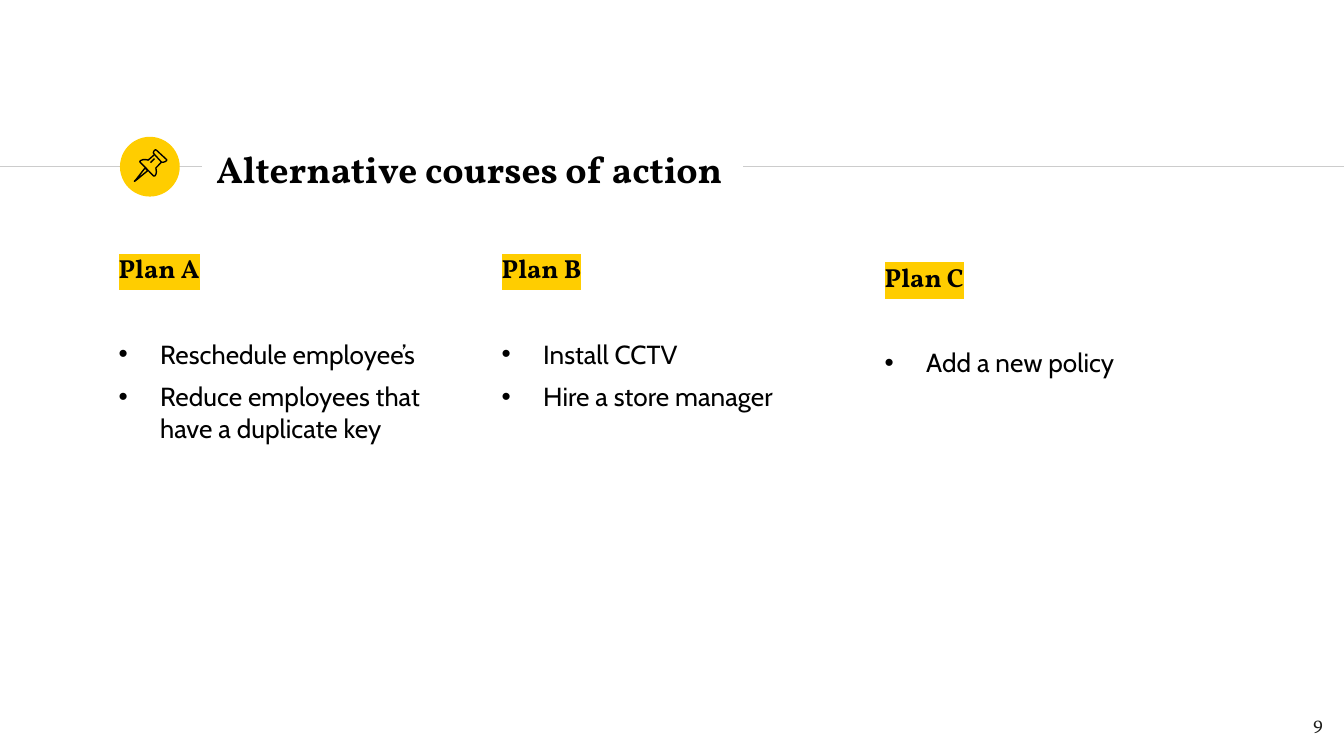
from lxml.etree import SubElement
from pptx import Presentation
from pptx.dml.color import RGBColor
from pptx.enum.shapes import MSO_CONNECTOR, MSO_SHAPE
from pptx.enum.text import MSO_ANCHOR, MSO_AUTO_SIZE, PP_ALIGN
from pptx.oxml.ns import qn
from pptx.util import Inches, Pt

BLACK = RGBColor(0x00, 0x00, 0x00)
INK = RGBColor(0x1D, 0x1D, 0x1B)
GREY = RGBColor(0xCC, 0xCC, 0xCC)
GOLD = RGBColor(0xFF, 0xCD, 0x00)

deck = Presentation()
deck.slide_width, deck.slide_height = Pt(720), Pt(405)
COL, ROW = deck.slide_width / 100, deck.slide_height / 100
slide = deck.slides.add_slide(deck.slide_layouts[4])
shapes = slide.shapes
title, *bodies = slide.placeholders
spare = bodies.pop()
spare.element.getparent().remove(spare.element)

HEAD = {"name": "Vollkorn", "size": Pt(14), "bold": True}
ITEM = {"name": "Cabin", "size": Pt(14), "bold": False}
FRAME = {"word_wrap": True, "auto_size": MSO_AUTO_SIZE.NONE,
         "margin_left": Inches(0.1), "margin_right": Inches(0.1),
         "margin_top": Inches(0.1), "margin_bottom": Inches(0.1)}


def place(shape, left, top, width, height, anchor):
    """Set a text shape on the 100 by 100 grid and return its frame."""
    shape.left, shape.top = int(left * COL), int(top * ROW)
    shape.width, shape.height = int(width * COL), int(height * ROW)
    for key, value in {**FRAME, "vertical_anchor": anchor}.items():
        setattr(shape.text_frame, key, value)
    return shape.text_frame


def write(para, text, style, color=BLACK, align=PP_ALIGN.LEFT):
    """Add one run of styled text to a paragraph."""
    para.alignment = align
    run = para.add_run()
    run.text = text
    for key, value in style.items():
        setattr(run.font, key, value)
    run.font.color.rgb = color
    return run


# Rule across the slide, broken by the title
for start, end in [(0, 15), (55.3, 100)]:
    line = shapes.add_connector(MSO_CONNECTOR.STRAIGHT, int(start * COL),
                                int(22 * ROW), int(end * COL), int(22 * ROW))
    line.line.color.rgb, line.line.width = GREY, Pt(0.75)
    SubElement(line.element.spPr, qn("a:effectLst"))

# Gold disc
disc = shapes.add_shape(MSO_SHAPE.OVAL, int(8.93 * COL), int(18.1 * ROW),
                        int(4.45 * COL), int(4.45 * COL))
disc.shadow.inherit = False
disc.fill.solid()
disc.fill.fore_color.rgb = GOLD
disc.line.fill.background()

# Pushpin, in thousandths of an inch: needle, cap, body, shine
PIN = [
    ([(1080, 1250), (1010, 1340), (1000, 1350), (1015, 1340), (1100, 1270)], True),
    ([(1150, 1150), (1202, 1207), (1215, 1208), (1230, 1203), (1240, 1195),
      (1240, 1188), (1163, 1117), (1155, 1115), (1145, 1125), (1141, 1138)], True),
    ([(1150, 1150), (1103, 1192), (1085, 1188), (1065, 1188), (1045, 1196),
      (1040, 1205), (1143, 1310), (1152, 1310), (1160, 1298), (1164, 1280),
      (1160, 1250), (1202, 1207)], False),
    ([(1120, 1210), (1150, 1180)], False),
]
pin = shapes.add_group_shape()
for points, closed in PIN:
    path = pin.shapes.build_freeform(*points[0], scale=914.4)
    path.add_line_segments(points[1:], close=closed)
    part = path.convert_to_shape()
    part.shadow.inherit = False
    part.fill.background()
    part.line.color.rgb, part.line.width = BLACK, Pt(0.75)

# Title
frame = place(title, 15.1, 18, 42.4, 8.5, MSO_ANCHOR.MIDDLE)
write(frame.paragraphs[0], "Alternative courses of action",
      {**HEAD, "size": Pt(20)})

# Three plans in equal columns, the last one slightly lower
PLANS = [
    ("Plan A", 31.65, 29, ["Reschedule employee’s",
                           "Reduce employees that have a duplicate key"]),
    ("Plan B", 31.65, 60.65, ["Install CCTV", "Hire a store manager"]),
    ("Plan C", 32.75, 60.65, ["Add a new policy"]),
]
for i, (body, (name, top, height, items)) in enumerate(zip(bodies, PLANS)):
    frame = place(body, 7.82 + 28.5 * i, top, 25.5, height, MSO_ANCHOR.TOP)
    para = frame.paragraphs[0]
    para.space_before, para.space_after = Pt(6), Pt(23)
    run = write(para, name, HEAD)
    props = para._p.get_or_add_pPr()
    props.set("marL", "0")
    props.set("indent", "0")
    SubElement(props, qn("a:buNone"))
    mark = SubElement(run.font._element, qn("a:highlight"))
    SubElement(mark, qn("a:srgbClr"), val=str(GOLD))
    run.font._element.find(qn("a:solidFill")).addnext(mark)

    for item in items:
        para = frame.add_paragraph()
        para.space_before = Pt(6)
        write(para, item, ITEM)
        props = para._p.get_or_add_pPr()
        props.set("marL", str(Inches(0.31)))
        props.set("indent", str(-Inches(0.31)))
        tint = SubElement(props, qn("a:buClr"))
        SubElement(tint, qn("a:srgbClr"), val=str(BLACK))
        SubElement(props, qn("a:buFont"), typeface="Arial")
        SubElement(props, qn("a:buChar"), char="•")

# Page number
frame = place(shapes.add_textbox(0, 0, 0, 0), 93.4, 92.35, 6, 7.65, MSO_ANCHOR.TOP)
write(frame.paragraphs[0], "9", {"name": "Vollkorn", "size": Pt(10)},
      INK, PP_ALIGN.RIGHT)

deck.save("out.pptx")
